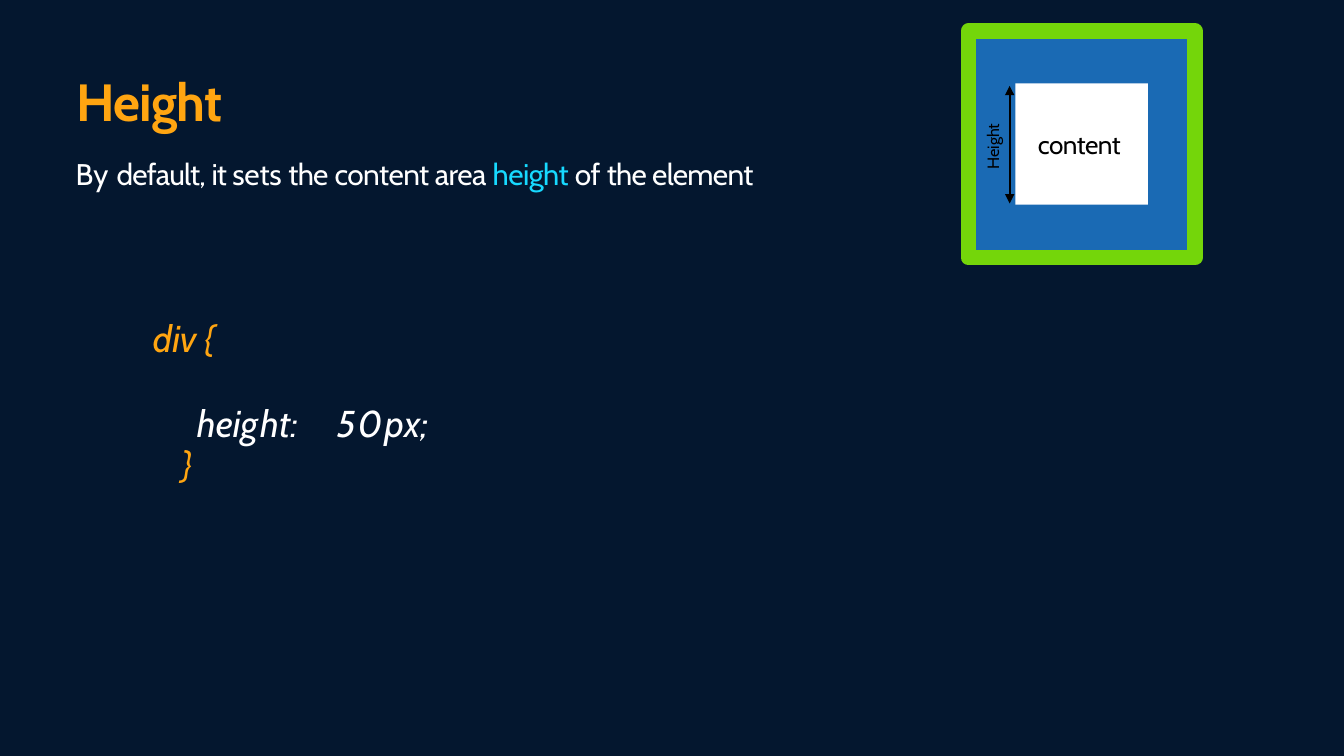
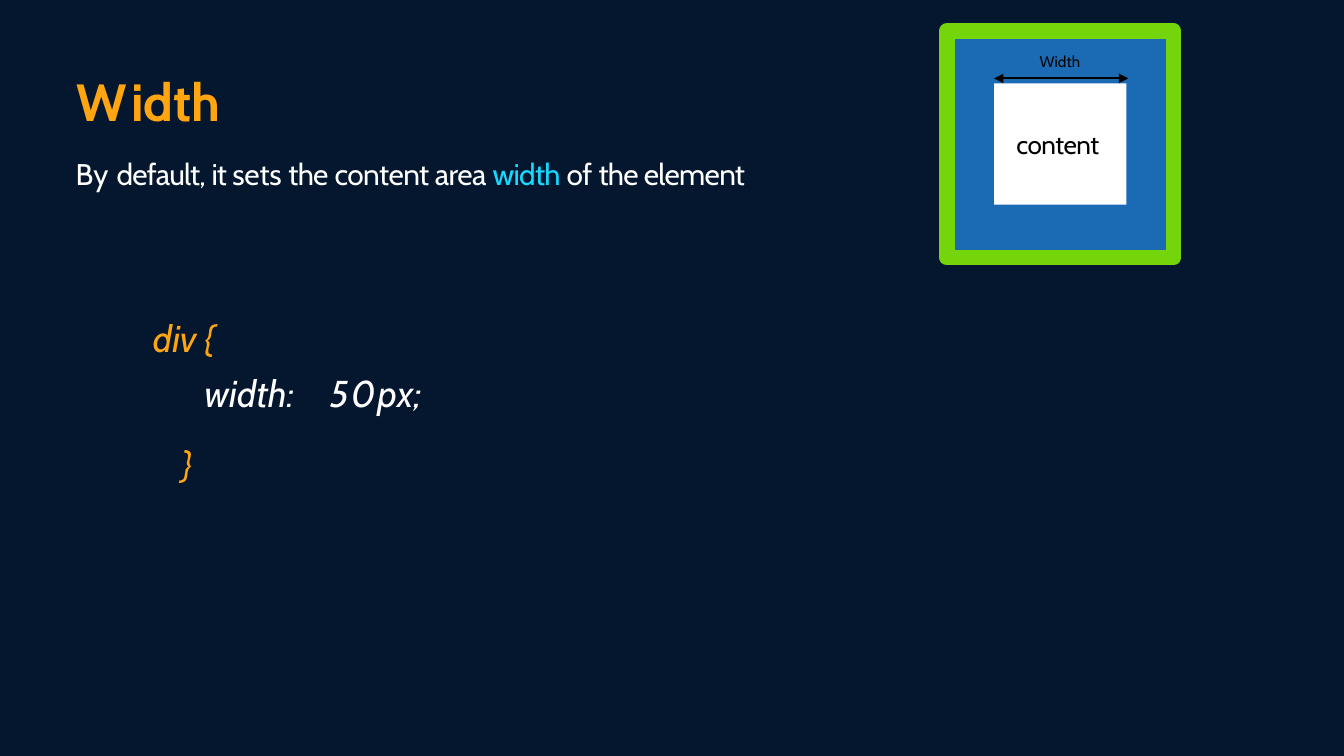
from dataclasses import dataclass
from typing import NamedTuple

from lxml.etree import SubElement
from pptx import Presentation
from pptx.dml.color import RGBColor
from pptx.enum.shapes import MSO_CONNECTOR as Connector, MSO_SHAPE as Shape
from pptx.enum.text import MSO_ANCHOR as Anchor
from pptx.oxml.ns import qn
from pptx.slide import Slide
from pptx.util import Pt

NAVY = RGBColor(0x04, 0x17, 0x2F)
ORANGE = RGBColor(0xFF, 0xA5, 0x11)
CYAN = RGBColor(0x17, 0xD9, 0xFF)
BLUE = RGBColor(0x1A, 0x6A, 0xB4)
GREEN = RGBColor(0x74, 0xD6, 0x0A)
WHITE = RGBColor(0xFF, 0xFF, 0xFF)
BLACK = RGBColor(0x00, 0x00, 0x00)

FONT = "Cabin"
FRAME_TOP, FRAME_SIZE, BORDER = 33.1, 243, 16.5
CONTENT_OFFSET, CONTENT_TOP = 50.5, 89.3
CONTENT_WIDTH, CONTENT_HEIGHT = 142, 130


class Box(NamedTuple):
    left: float
    top: float
    width: float
    height: float

    def points(self) -> list[Pt]:
        return [Pt(length) for length in self]


class Span(NamedTuple):
    """A stretch of text with its letter spacing and, if special, its colour."""
    text: str
    spacing: float = 0
    color: RGBColor | None = None


class Style(NamedTuple):
    size: float
    color: RGBColor
    bold: bool = False
    italic: bool = False


class Arrow(NamedTuple):
    begin_x: float
    begin_y: float
    end_x: float
    end_y: float


@dataclass
class PropertySlide:
    title: list[Span]
    title_width: float
    keyword: Span
    declaration: list[Span]
    declaration_box: Box
    tab_stop: float
    frame_left: float
    arrow: Arrow
    label: Span
    label_size: float
    label_box: Box
    label_upright: bool = False


TITLE = Style(56, ORANGE, bold=True)
BODY = Style(32, WHITE)
SELECTOR = Style(40, ORANGE, italic=True)
DECLARATION = Style(40, WHITE, italic=True)
CONTENT = Style(28, BLACK)

INTRO = [Span("By ", 0.7), Span("default, ", -0.9), Span("it ", -1.4),
         Span("sets ", -0.2), Span("the ", -0.8), Span("content area ", -0.6)]
OUTRO = [Span("of ", -0.5), Span("the element", -0.8)]
OPENING = [Span("d", 0.1), Span("i", -2.3), Span("v ", -0.6), Span("{", -2.8)]
CLOSING = [Span("}", -2.8)]
VALUE = [Span(":\t", -1.5), Span("50", 2), Span("p", 0.1), Span("x", -1.1), Span(";")]

PROPERTY_SLIDES = [
    PropertySlide(
        title=[Span("Height", -0.9)],
        title_width=168,
        keyword=Span("height ", -0.6, CYAN),
        declaration=[Span("h"), Span("e", -1.1), Span("i", -2.3), Span("g", 2.3),
                     Span("h"), Span("t", -2.9)] + VALUE,
        declaration_box=Box(208, 428, 722, 50),
        tab_stop=150,
        frame_left=1037.5,
        arrow=Arrow(1081.8, 92, 1081.8, 218),
        label=Span("Height", -0.1),
        label_size=17.5,
        label_box=Box(1052, 128, 23, 53.5),
        label_upright=True,
    ),
    PropertySlide(
        title=[Span("W", 5.2), Span("i", -2.2), Span("d", -0.6), Span("t", -1.6),
               Span("h", -1.2)],
        title_width=156,
        keyword=Span("width ", -0.8, CYAN),
        declaration=[Span("w", -1.6), Span("i", -2.3), Span("d", 0.1),
                     Span("t", -2.9), Span("h")] + VALUE,
        declaration_box=Box(216, 396, 715, 50),
        tab_stop=134.6,
        frame_left=1014.5,
        arrow=Arrow(1065, 84, 1209, 84),
        label=Span("Width", 0.1),
        label_size=16.5,
        label_box=Box(1113, 55.4, 47, 21.6),
    ),
]


def write(shape, spans: list[Span], style: Style, indent: float = 1) -> None:
    frame = shape.text_frame
    frame.word_wrap = True
    frame.margin_left, frame.margin_top = Pt(indent), Pt(1)
    frame.margin_right = frame.margin_bottom = 0
    paragraph = frame.paragraphs[0]
    paragraph.space_before = Pt(1)
    for span in spans:
        run = paragraph.add_run()
        run.text = span.text
        font = run.font
        font.name, font.size = FONT, Pt(style.size)
        font.bold, font.italic = style.bold, style.italic
        font.color.rgb = span.color or style.color
        run._r.get_or_add_rPr().set("spc", str(round(span.spacing * 100)))


def add_text(slide: Slide, box: Box, spans: list[Span], style: Style, indent: float = 1):
    shape = slide.shapes.add_textbox(*box.points())
    write(shape, spans, style, indent)
    return shape


def add_square(slide: Slide, box: Box, fill: RGBColor):
    shape = slide.shapes.add_shape(Shape.RECTANGLE, *box.points())
    shape.shadow.inherit = False
    shape.fill.solid()
    shape.fill.fore_color.rgb = fill
    shape.line.fill.background()
    return shape


def add_arrow(slide: Slide, arrow: Arrow) -> None:
    """Draw a line with a head at both ends."""
    connector = slide.shapes.add_connector(
        Connector.STRAIGHT, *(Pt(length) for length in arrow))
    connector.line.color.rgb = BLACK
    connector.line.width = Pt(2)
    line = connector.line._get_or_add_ln()
    for end in ("a:headEnd", "a:tailEnd"):
        SubElement(line, qn(end), type="triangle", w="lg", len="lg")
    SubElement(connector._element.spPr, qn("a:effectLst"))


def add_box_model(slide: Slide, item: PropertySlide) -> None:
    """Draw the bordered square, its content area and the measured side."""
    frame = add_square(
        slide, Box(item.frame_left, FRAME_TOP, FRAME_SIZE, FRAME_SIZE), BLUE)
    frame.line.color.rgb = GREEN
    frame.line.width = Pt(BORDER)
    SubElement(frame.line._get_or_add_ln(), qn("a:round"))

    add_arrow(slide, item.arrow)
    label = add_text(slide, item.label_box, [item.label], Style(item.label_size, BLACK))
    if item.label_upright:
        label.text_frame._txBody.bodyPr.set("vert", "vert270")

    content = add_square(slide, Box(item.frame_left + CONTENT_OFFSET, CONTENT_TOP,
                                    CONTENT_WIDTH, CONTENT_HEIGHT), WHITE)
    content.text_frame.vertical_anchor = Anchor.MIDDLE
    write(content, [Span("content", -0.5)], CONTENT, indent=24)
    content.text_frame.paragraphs[0].alignment = 1


def add_declaration(slide: Slide, item: PropertySlide) -> None:
    shape = add_text(slide, item.declaration_box, item.declaration, DECLARATION, indent=3)
    properties = shape.text_frame.paragraphs[0]._p.get_or_add_pPr()
    tabs = SubElement(properties, qn("a:tabLst"))
    SubElement(tabs, qn("a:tab"), pos=str(Pt(item.tab_stop)), algn="l")


def add_property_slide(presentation, item: PropertySlide) -> None:
    slide = presentation.slides.add_slide(presentation.slide_layouts[6])
    slide.background.fill.solid()
    slide.background.fill.fore_color.rgb = NAVY
    add_text(slide, Box(80, 165.6, 790, 40.5), INTRO + [item.keyword] + OUTRO, BODY)
    add_text(slide, Box(162.7, 337, 76.3, 49.7), OPENING, SELECTOR)
    add_text(slide, Box(193.7, 471.6, 13.7, 49.7), CLOSING, SELECTOR)
    add_text(slide, Box(80.6, 73.4, item.title_width, 69), item.title, TITLE)
    add_box_model(slide, item)
    add_declaration(slide, item)


def main() -> None:
    presentation = Presentation()
    presentation.slide_width, presentation.slide_height = Pt(1440), Pt(810)
    for item in PROPERTY_SLIDES:
        add_property_slide(presentation, item)
    presentation.save("out.pptx")


if __name__ == "__main__":
    main()
